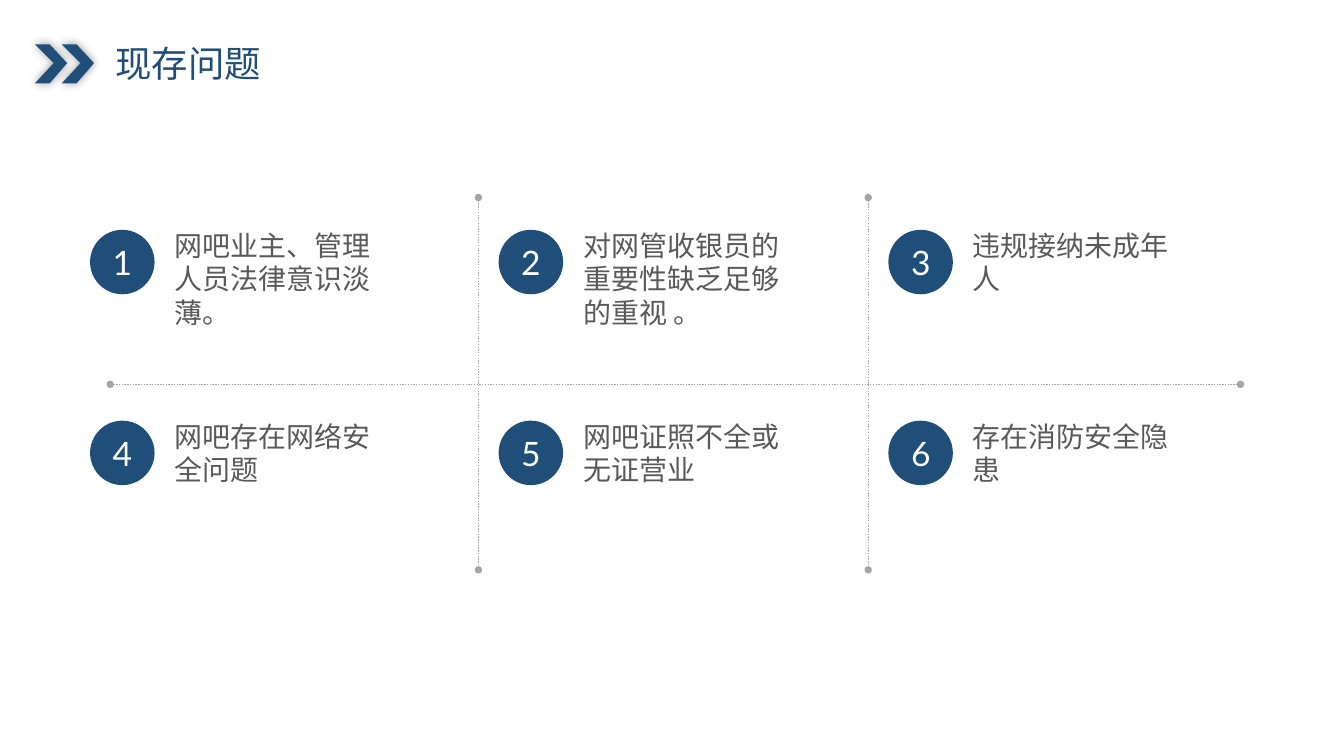
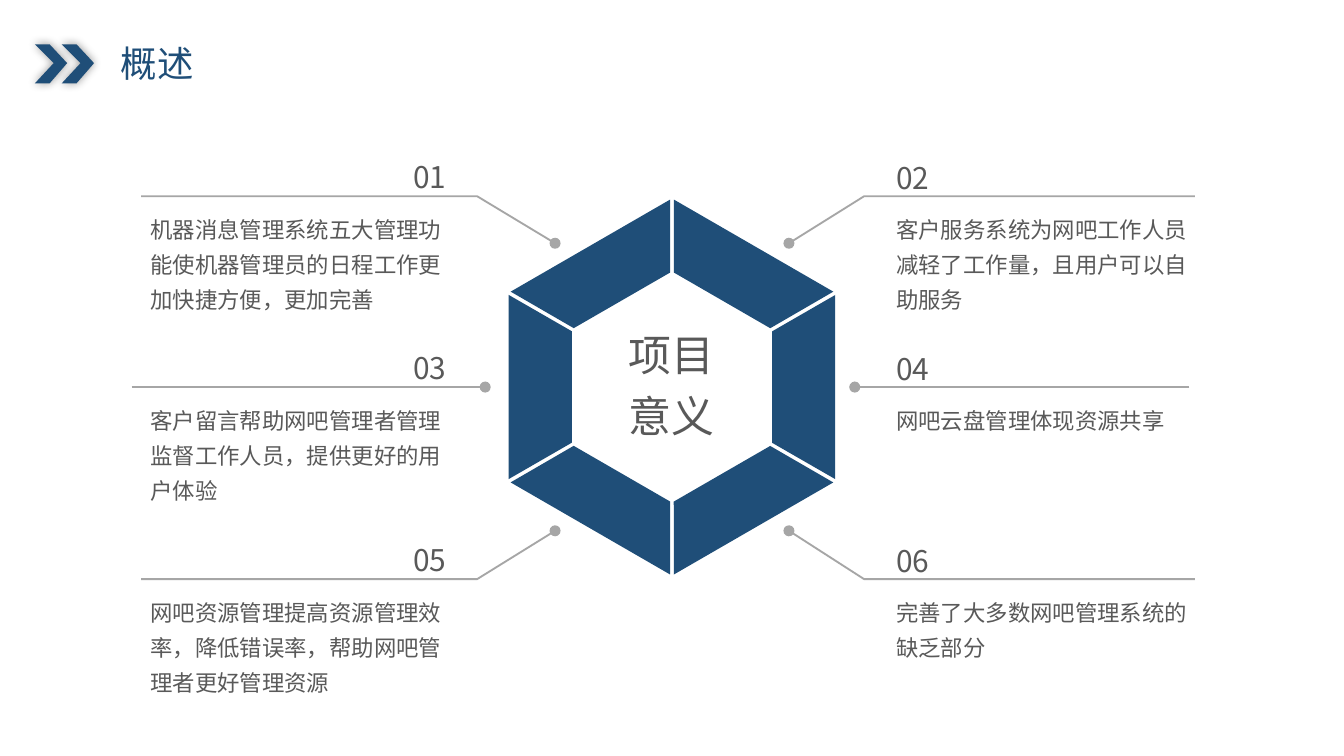
"""Build two slides on the problems and the value of a net cafe system."""
from math import ceil, cos, radians, sin

from lxml.etree import SubElement
from pptx import Presentation
from pptx.dml.color import RGBColor
from pptx.enum.dml import MSO_LINE as Dash
from pptx.enum.shapes import MSO_CONNECTOR as Link, MSO_SHAPE as Form
from pptx.enum.text import MSO_ANCHOR as Anchor, MSO_AUTO_SIZE as Fit, PP_ALIGN as Align
from pptx.oxml.ns import qn
from pptx.util import Pt

ISSUES = [
    "网吧业主、管理人员法律意识淡薄。",
    "对网管收银员的重要性缺乏足够的重视 。",
    "违规接纳未成年人",
    "网吧存在网络安全问题",
    "网吧证照不全或无证营业",
    "存在消防安全隐患",
]
GAINS = [
    "机器消息管理系统五大管理功能使机器管理员的日程工作更加快捷方便，更加完善",
    "客户服务系统为网吧工作人员减轻了工作量，且用户可以自助服务",
    "客户留言帮助网吧管理者管理监督工作人员，提供更好的用户体验",
    "网吧云盘管理体现资源共享",
    "网吧资源管理提高资源管理效率，降低错误率，帮助网吧管理者更好管理资源",
    "完善了大多数网吧管理系统的缺乏部分",
]
CORE = ["项目", "意义"]

PX = 9144
WIDE = 1000
NAVY, GREY, INK, WHITE = "1F4E78", "A6A6A6", "595959", "FFFFFF"
HAN, LATIN = "Noto Sans CJK SC", "Lato"

COLS, ROWS = (67, 371, 661), (171, 313)
RULES = [((82, 286), (923, 286)), ((356, 147), (356, 424)), ((646, 147), (646, 424))]
SIDES = [
    dict(edge=105, bend=355, tip=413, flat=(98, 361), num=(123, 219), body=(102, 241),
         align=Align.RIGHT, lift=30),
    dict(edge=889, bend=643, tip=587, flat=(885, 636), num=(657, 215), body=(657, 238),
         align=Align.LEFT, lift=29),
]
LEVELS = [(146, 35), (288, 0), (431, -36)]
HUB, REACH = (500, 288), 98


def tint(code):
    return RGBColor.from_string(code)


def emu(*nums):
    return [round(n * PX) for n in nums]


def write(shape, text, size=12, color=INK, font=HAN, align=Align.LEFT, space=None, before=None):
    for i, part in enumerate([text] if isinstance(text, str) else text):
        para = shape.text_frame.paragraphs[0] if i == 0 else shape.text_frame.add_paragraph()
        para.alignment = align
        if space:
            para.line_spacing = space
        if before:
            para.space_before = Pt(before)
        run = para.add_run()
        run.text = part
        run.font.size = Pt(size)
        run.font.name = font
        run.font.color.rgb = tint(color)
        SubElement(run.font._element, qn("a:ea"), typeface=font)


def label(slide, text, x, y, w, h, wrap=True, **form):
    box = slide.shapes.add_textbox(*emu(x, y, w, h))
    box.text_frame.word_wrap = wrap
    box.text_frame.auto_size = Fit.SHAPE_TO_FIT_TEXT
    write(box, text, **form)
    return box


def paint(shape):
    shape.shadow.inherit = False
    shape.fill.solid()
    shape.fill.fore_color.rgb = tint(NAVY)
    shape.line.fill.background()
    return shape


def solid(slide, form, x, y, w, h):
    return paint(slide.shapes.add_shape(form, *emu(x, y, w, h)))


def trace(slide, points, close):
    pen = slide.shapes.build_freeform(*points[0], scale=PX)
    pen.add_line_segments(points[1:], close=close)
    return pen.convert_to_shape()


def stroke(shape, width, ends, dash=None, dot="med"):
    shape.line.color.rgb = tint(GREY)
    shape.line.width = Pt(width)
    if dash:
        shape.line.dash_style = dash
    edge = shape.element.spPr.find(qn("a:ln"))
    for end in ends:
        SubElement(edge, qn(end), type="oval", w=dot, len=dot)


def rule(slide, start, stop, *style):
    line = slide.shapes.add_connector(Link.STRAIGHT, *emu(*start, *stop))
    stroke(line, *style)
    SubElement(line.element.spPr, qn("a:effectLst"))


def page(deck, title, x, align):
    slide = deck.slides.add_slide(deck.slide_layouts[6])
    for left in (46, 26):
        steps = [(14, 47), (0, 62), (11, 62), (24, 47), (11, 33), (0, 33)]
        mark = paint(trace(slide, [(left + dx, y) for dx, y in steps], True))
        glow = SubElement(mark.element.spPr.find(qn("a:effectLst")), qn("a:outerShdw"),
                          blurRad=str(Pt(5)), dist="0", dir="0")
        shade = SubElement(glow, qn("a:srgbClr"), val="000000")
        SubElement(shade, qn("a:alpha"), val="40000")
    label(slide, title, x, 26, 24 + 27 * len(title), 43, wrap=False,
          size=19.5, color=NAVY, align=align)
    return slide


def issues(deck):
    slide = page(deck, "现存问题", 74, Align.CENTER)
    for start, stop in RULES:
        rule(slide, start, stop, 0.75, ("a:headEnd", "a:tailEnd"), Dash.ROUND_DOT, "sm")
    for i, text in enumerate(ISSUES):
        x, y = COLS[i % 3], ROWS[i // 3]
        disc = solid(slide, Form.OVAL, x, y, 48, 48)
        disc.text_frame.vertical_anchor = Anchor.MIDDLE
        write(disc, str(i + 1), size=18, color=WHITE, font=LATIN, align=Align.CENTER)
        label(slide, text, x + 53, y - 6, 177, 8 + 26 * ceil(len(text) / 7), size=15)


def gains(deck):
    slide = page(deck, "概述", 80, Align.LEFT)
    for turn in range(30, 360, 60):
        x = HUB[0] - REACH * sin(radians(turn))
        y = HUB[1] + REACH * cos(radians(turn))
        bar = solid(slide, Form.TRAPEZOID, x - 68.5, y - 23.5, 137, 47)
        bar.adjustments[0] = 0.576
        bar.rotation = turn
    for i, text in enumerate(GAINS):
        side, (y, drop) = SIDES[i % 2], LEVELS[i // 2]
        tail = ("a:tailEnd",)
        if drop:
            points = [(side["edge"], y), (side["bend"], y), (side["tip"], y + drop)]
            arm = trace(slide, points, False)
            arm.shadow.inherit = False
            arm.fill.background()
            stroke(arm, 1, tail)
        else:
            start, stop = side["flat"]
            rule(slide, (start, y), (stop, y), 1, tail)
        x, w = side["num"]
        label(slide, f"{i + 1:02}", x, y - side["lift"], w, 34,
              size=16, align=side["align"], space=0.9, before=7.5)
        x, w = side["body"]
        label(slide, text, x, y + 4, w, 9 + 27 * ceil(len(text) / 13), space=1.3)
    core = label(slide, CORE, 426, 245, 147, 88,
                 size=23, align=Align.CENTER, space=0.9, before=7.5)
    frame = core.text_frame
    frame.margin_left = frame.margin_right = 7 * PX
    frame.margin_top = frame.margin_bottom = 4 * PX


def main():
    deck = Presentation()
    deck.slide_width, deck.slide_height = WIDE * PX, WIDE * PX * 9 // 16
    issues(deck)
    gains(deck)
    deck.save("out.pptx")


if __name__ == "__main__":
    main()
